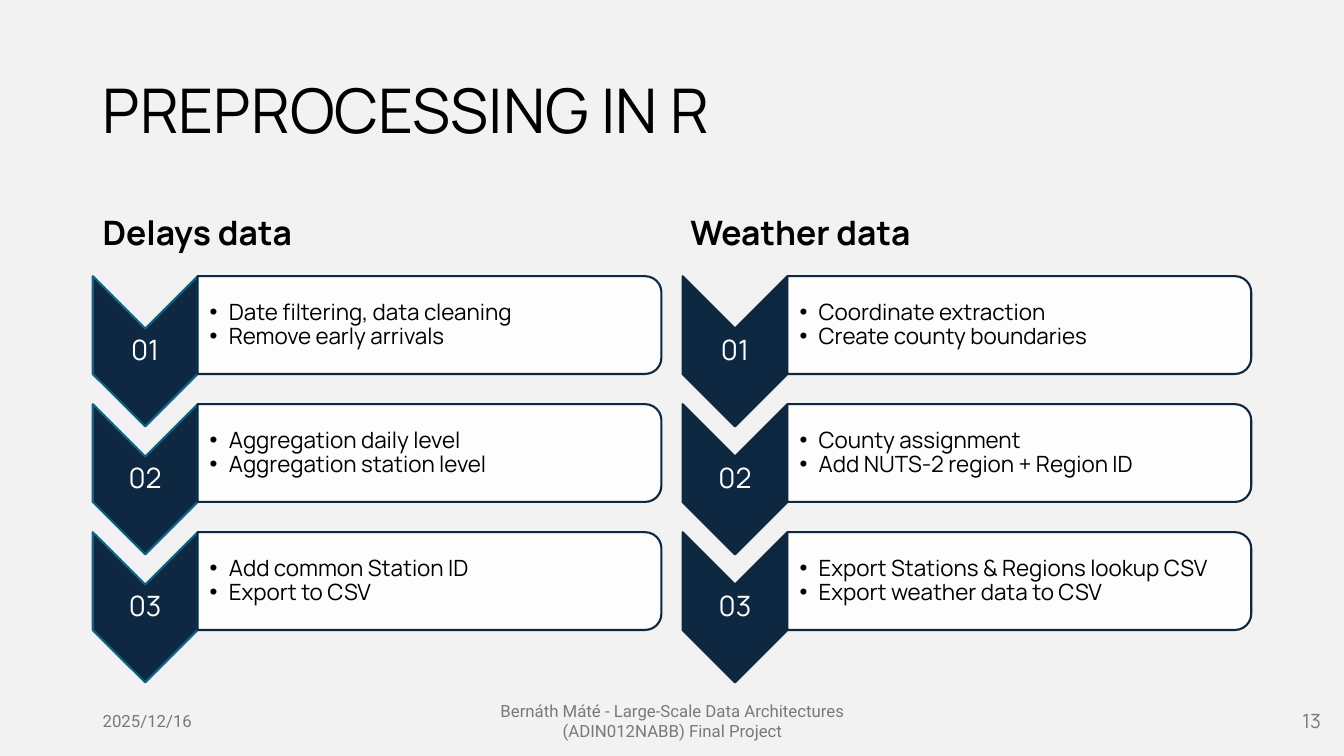
from lxml import etree
from pptx import Presentation
from pptx.dml.color import RGBColor
from pptx.enum.shapes import MSO_SHAPE
from pptx.enum.text import MSO_ANCHOR, MSO_AUTO_SIZE, PP_ALIGN
from pptx.oxml.ns import qn
from pptx.util import Inches, Pt

CHEVRON, PANEL = MSO_SHAPE.CHEVRON, MSO_SHAPE.ROUND_2_SAME_RECTANGLE
LEFT, CENTER, RIGHT = PP_ALIGN.LEFT, PP_ALIGN.CENTER, PP_ALIGN.RIGHT
MIDDLE, BOTTOM = MSO_ANCHOR.MIDDLE, MSO_ANCHOR.BOTTOM
NO_AUTOFIT = MSO_AUTO_SIZE.NONE

BACKGROUND = RGBColor(0xF2, 0xF2, 0xF2)
BLACK = RGBColor(0x00, 0x00, 0x00)
WHITE = RGBColor(0xFF, 0xFF, 0xFF)
NAVY = RGBColor(0x0E, 0x28, 0x41)
TEAL = RGBColor(0x15, 0x60, 0x82)
GRAY = RGBColor(0x79, 0x79, 0x79)

HEADING_FONT, FOOTER_FONT = "Manrope", "Roboto"

# Grid in inches
MARGIN = 0.92
STEP_TOP, STEP_PITCH = 2.74, 1.27
CHEVRON_WIDTH, CHEVRON_HEIGHT = 1.04, 1.49
PANEL_WIDTH, PANEL_HEIGHT = 4.6, 0.97
FOOTER_TOP, FOOTER_HEIGHT = 6.95, 0.4

# Heading, heading left, steps left, chevron outline, steps
COLUMNS = [
    ("Delays data", MARGIN, MARGIN, TEAL, [
        ["Date filtering, data cleaning", "Remove early arrivals"],
        ["Aggregation daily level", "Aggregation station level"],
        ["Add common Station ID", "Export to CSV"],
    ]),
    ("Weather data", 6.75, 6.77, NAVY, [
        ["Coordinate extraction", "Create county boundaries"],
        ["County assignment", "Add NUTS-2 region + Region ID"],
        ["Export Stations & Regions lookup CSV", "Export weather data to CSV"],
    ]),
]


def add_bullet(paragraph):
    properties = paragraph._p.get_or_add_pPr()
    properties.set("marL", str(Inches(0.19)))
    properties.set("indent", str(-Inches(0.19)))
    font = etree.SubElement(properties, qn("a:buFont"))
    font.set("typeface", "Arial")
    etree.SubElement(properties, qn("a:buChar")).set("char", "•")


def write(shape, lines, size, color, font=HEADING_FONT, align=LEFT, anchor=MIDDLE,
          bold=False, bullets=False, spacing=0.9, insets=None):
    """Fill a shape's text frame with one paragraph for each line."""
    frame = shape.text_frame
    frame.word_wrap = True
    frame.auto_size = NO_AUTOFIT
    frame.vertical_anchor = anchor
    if insets:
        frame.margin_left = Inches(insets[0])
        frame.margin_right = frame.margin_top = frame.margin_bottom = Inches(insets[1])
    for index, line in enumerate(lines):
        paragraph = frame.add_paragraph() if index else frame.paragraphs[0]
        if bullets:
            add_bullet(paragraph)
        paragraph.alignment = align
        paragraph.line_spacing = spacing
        run = paragraph.add_run()
        run.text = line
        run.font.name = font
        run.font.size = Pt(size)
        run.font.bold = bold
        run.font.color.rgb = color


def add_text(slide, left, top, width, height, lines, size, color, **style):
    box = slide.shapes.add_textbox(Inches(left), Inches(top), Inches(width), Inches(height))
    write(box, lines, size, color, **style)


def add_turned_shape(slide, kind, left, top, width, height, fill, outline):
    """Add a shape turned by 90 degrees that covers the given area once turned."""
    shift = (width - height) / 2
    shape = slide.shapes.add_shape(kind, Inches(left + shift), Inches(top - shift),
                                   Inches(height), Inches(width))
    shape.rotation = 90
    shape.shadow.inherit = False
    shape.fill.solid()
    shape.fill.fore_color.rgb = fill
    shape.line.color.rgb = outline
    shape.line.width = Pt(1.5)
    return shape


def set_opacity(shape, percent):
    color = shape._element.spPr.find(qn("a:solidFill"))[0]
    etree.SubElement(color, qn("a:alpha")).set("val", str(percent * 1000))


def add_step(slide, left, top, number, tasks, outline):
    add_turned_shape(slide, CHEVRON, left, top, CHEVRON_WIDTH, CHEVRON_HEIGHT, NAVY, outline)
    add_text(slide, left, top + CHEVRON_WIDTH / 2, CHEVRON_WIDTH, 0.45, [f"{number:02}"],
             20, WHITE, align=CENTER, insets=(0.01, 0.01))
    panel_left = left + CHEVRON_WIDTH
    panel = add_turned_shape(slide, PANEL, panel_left, top, PANEL_WIDTH, PANEL_HEIGHT,
                             WHITE, NAVY)
    set_opacity(panel, 90)
    add_text(slide, panel_left, top + 0.05, PANEL_WIDTH - 0.05, PANEL_HEIGHT - 0.1, tasks,
             16, BLACK, bullets=True, insets=(0.12, 0.01))


def add_title(slide, text):
    title = slide.shapes.title
    title.left, title.top = Inches(MARGIN), Inches(0.4)
    title.width, title.height = Inches(11.5), Inches(1.45)
    write(title, [text], 44, BLACK)


def add_footer(slide, left, width, text, size=12, font=FOOTER_FONT, align=LEFT):
    add_text(slide, left, FOOTER_TOP, width, FOOTER_HEIGHT, [text], size, GRAY,
             font=font, align=align, spacing=1.0)


def main():
    presentation = Presentation()
    presentation.slide_width, presentation.slide_height = Inches(13.33), Inches(7.5)
    slide = presentation.slides.add_slide(presentation.slide_layouts[5])
    slide.background.fill.solid()
    slide.background.fill.fore_color.rgb = BACKGROUND

    add_title(slide, "PREPROCESSING IN R")
    for heading, heading_left, steps_left, outline, steps in COLUMNS:
        add_text(slide, heading_left, 1.84, 5.65, 0.72, [heading], 24, BLACK,
                 anchor=BOTTOM, bold=True)
        for index, tasks in enumerate(steps):
            add_step(slide, steps_left, STEP_TOP + index * STEP_PITCH, index + 1, tasks, outline)

    add_footer(slide, MARGIN, 3, "2025/12/16")
    add_footer(slide, 4.42, 4.5, "Bernáth Máté - Large-Scale Data Architectures "
               "(ADIN012NABB) Final Project", align=CENTER)
    add_footer(slide, 9.42, 3.78, "13", size=14, font=HEADING_FONT, align=RIGHT)
    presentation.save("out.pptx")


if __name__ == "__main__":
    main()
